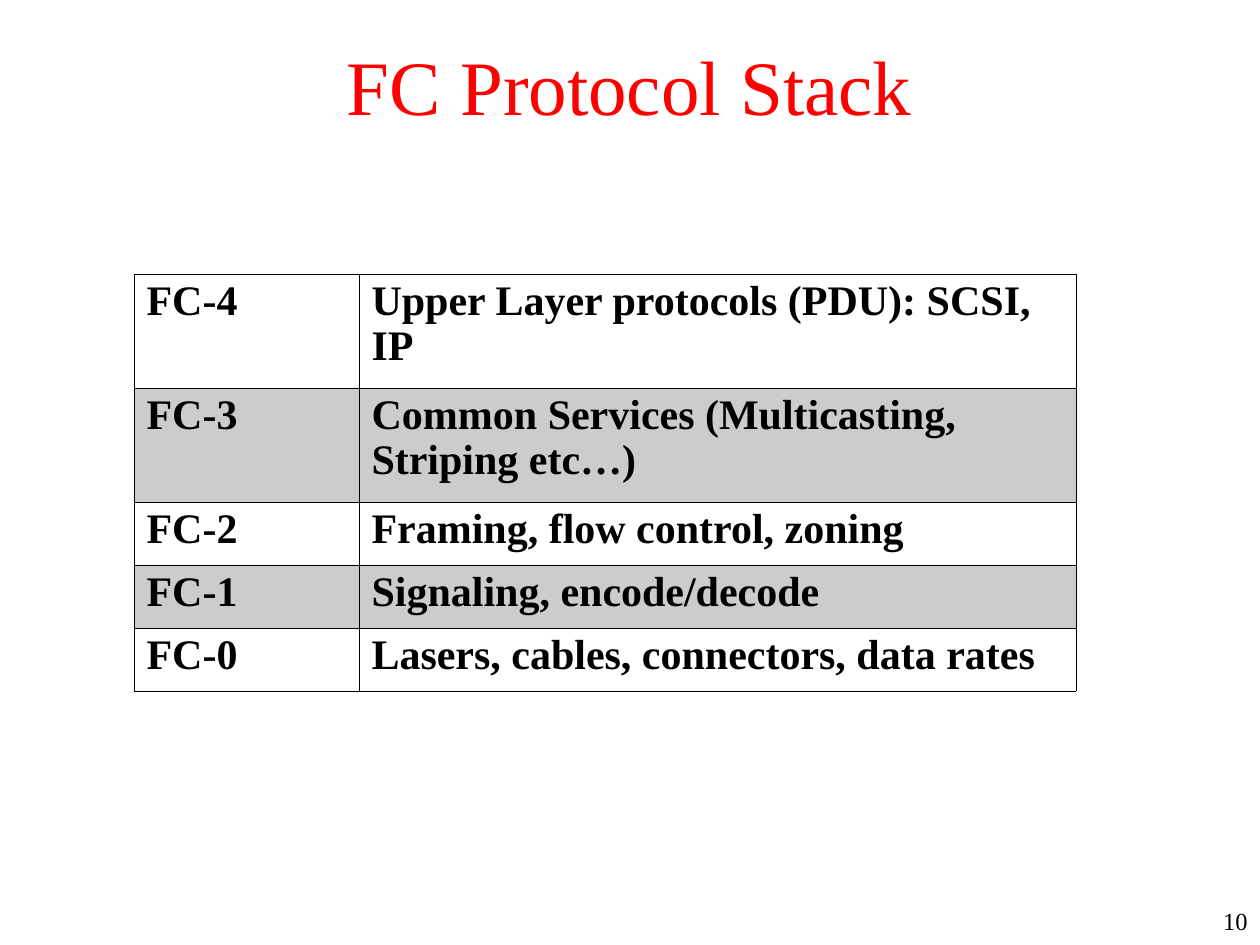
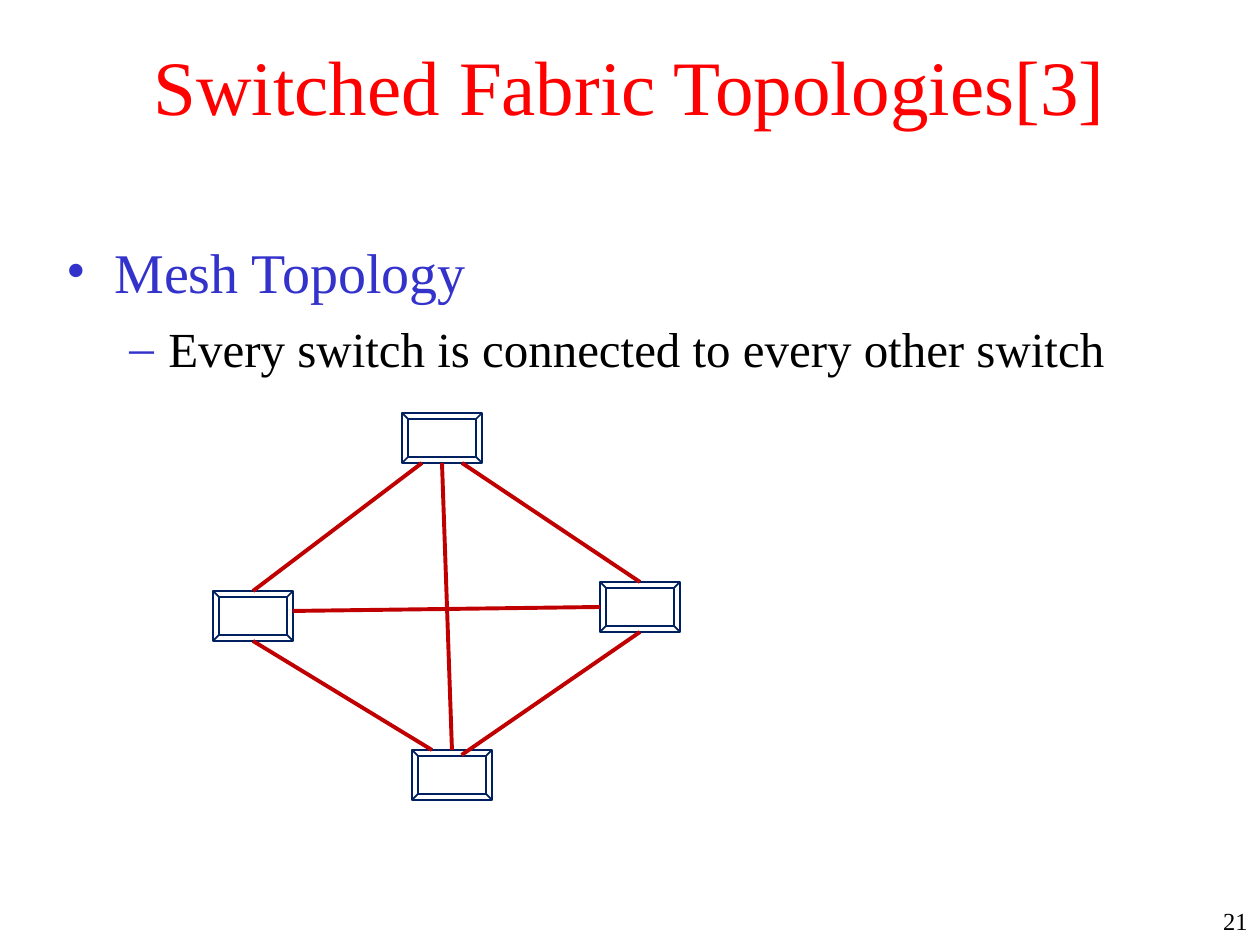
from lxml import etree
from pptx import Presentation
from pptx.dml.color import RGBColor
from pptx.enum import shapes, text
from pptx.oxml import ns
from pptx import util as u

PX_PER_INCH = 126
FONT = "Times New Roman"
BLACK = RGBColor(0x00, 0x00, 0x00)
TITLE_RED = RGBColor(0xFF, 0x00, 0x00)
BULLET_BLUE = RGBColor(0x33, 0x33, 0xCC)
SWITCH_NAVY = RGBColor(0x00, 0x20, 0x60)
LINK_RED = RGBColor(0xC0, 0x00, 0x00)

TITLE_BOX = (94, 0, 1071, 158)
NUMBER_BOX = (1193, 900, 67, 45)

LAYERS = [  # name, role, row height
    ("FC-4", "Upper Layer protocols (PDU): SCSI, IP", 114),
    ("FC-3", "Common Services (Multicasting, Striping etc…)", 114),
    ("FC-2", "Framing, flow control, zoning", 63),
    ("FC-1", "Signaling, encode/decode", 63),
    ("FC-0", "Lasers, cables, connectors, data rates", 63),
]

BULLETS = [  # text, mark, size, colour, left margin, hanging indent
    ("Mesh Topology", "•", 32, BULLET_BLUE, 48, 48),
    ("Every switch is connected to every other switch", "–", 28, BLACK, 102, 39),
]

SWITCH_SIZE = (80, 50)
SWITCHES = {"top": (189, 0), "right": (387, 169), "left": (0, 178), "bottom": (199, 337)}
LINKS = [  # switch and fraction of its width and height, at each end
    ("top", 0.75, 1, "right", 0.5, 0),
    ("left", 0.5, 1, "bottom", 0.25, 0),
    ("right", 0.5, 1, "bottom", 0.62, 0.1),
    ("top", 0.25, 1, "left", 0.5, 0),
    ("top", 0.5, 1, "bottom", 0.5, 0),
    ("left", 1, 0.4, "right", 0, 0.5),
]


def px(length):
    return u.Emu(round(length * u.Inches(1) / PX_PER_INCH))


def set_font(paragraph, size, color, bold=False):
    font = paragraph.font
    font.name, font.size, font.bold = FONT, u.Pt(size), bold
    font.color.rgb = color


def add_element(parent, tag, **attributes):
    return etree.SubElement(parent, ns.qn(tag), attributes)


def add_text_box(slide, box):
    frame = slide.shapes.add_textbox(*map(px, box)).text_frame
    frame.word_wrap = True
    return frame


def add_base_slide(presentation, title, number):
    slide = presentation.slides.add_slide(presentation.slide_layouts[5])
    # Title
    shape = slide.shapes.title
    shape.left, shape.top, shape.width, shape.height = map(px, TITLE_BOX)
    frame = shape.text_frame
    frame.text = title
    frame.vertical_anchor = text.MSO_ANCHOR.MIDDLE
    frame.margin_top = px(18)
    paragraph = frame.paragraphs[0]
    paragraph.alignment = text.PP_ALIGN.CENTER
    set_font(paragraph, 44, TITLE_RED)
    # Slide number
    paragraph = add_text_box(slide, NUMBER_BOX).paragraphs[0]
    paragraph.text = str(number)
    paragraph.alignment = text.PP_ALIGN.RIGHT
    set_font(paragraph, 14, BLACK)
    return slide


def style_cell(cell, shaded):
    properties = cell._tc.get_or_add_tcPr()
    for side in ("a:lnL", "a:lnR", "a:lnT", "a:lnB"):
        border = add_element(properties, side, w=str(u.Pt(0.45)))
        add_element(add_element(border, "a:solidFill"), "a:srgbClr", val=str(BLACK))
    if shaded:
        cell.fill.solid()
        cell.fill.fore_color.rgb = BLACK
        color = properties.find(ns.qn("a:solidFill")).find(ns.qn("a:srgbClr"))
        add_element(color, "a:alpha", val="20000")
    else:
        cell.fill.background()


def add_layer_table(slide, left, top, column_widths):
    height = sum(layer[-1] for layer in LAYERS)
    frame = slide.shapes.add_table(len(LAYERS), len(column_widths), px(left), px(top),
                                   px(sum(column_widths)), px(height))
    table = frame.table
    table.first_row = table.horz_banding = False
    for column, width in zip(table.columns, column_widths):
        column.width = px(width)
    for index, (row, (*labels, row_height)) in enumerate(zip(table.rows, LAYERS)):
        row.height = px(row_height)
        for cell, label in zip(row.cells, labels):
            cell.text = label
            paragraph = cell.text_frame.paragraphs[0]
            paragraph.line_spacing = 0.96
            set_font(paragraph, 24, BLACK, bold=True)
            style_cell(cell, shaded=index % 2 == 1)


def add_bullets(slide, box):
    frame = add_text_box(slide, box)
    frame.margin_top = px(13)
    for level, (label, mark, size, color, margin, hanging) in enumerate(BULLETS):
        paragraph = frame.add_paragraph() if level else frame.paragraphs[0]
        paragraph.text = label
        paragraph.level = level
        if level:
            paragraph.space_before = u.Pt(8)
        properties = paragraph._p.get_or_add_pPr()
        properties.set("marL", str(px(margin)))
        properties.set("indent", str(-px(hanging)))
        add_element(add_element(properties, "a:buClr"), "a:srgbClr", val=str(BULLET_BLUE))
        add_element(properties, "a:buFont", typeface=FONT)
        add_element(properties, "a:buChar", char=mark)
        set_font(paragraph, size, color)


def add_mesh(slide, left, top):
    width, height = SWITCH_SIZE

    def point(name, across, down):
        x, y = SWITCHES[name]
        return px(left + x + across * width), px(top + y + down * height)

    # Switches
    for name in SWITCHES:
        switch = slide.shapes.add_shape(shapes.MSO_SHAPE.BEVEL, *point(name, 0, 0),
                                        px(width), px(height))
        switch.adjustments[0] = 0.125
        switch.shadow.inherit = False
        switch.fill.background()
        switch.line.color.rgb = SWITCH_NAVY
        switch.line.width = u.Pt(1)
    # Links
    for link in LINKS:
        line = slide.shapes.add_connector(shapes.MSO_CONNECTOR.STRAIGHT,
                                          *point(*link[:3]), *point(*link[3:]))
        line.line.color.rgb = LINK_RED
        line.line.width = u.Pt(2.25)
        add_element(line._element.spPr, "a:effectLst")


def main():
    presentation = Presentation()
    presentation.slide_width, presentation.slide_height = px(1260), px(945)

    slide = add_base_slide(presentation, "FC Protocol Stack", 10)
    add_layer_table(slide, 134, 274, (225, 717))

    slide = add_base_slide(presentation, "Switched Fabric Topologies[3]", 21)
    add_bullets(slide, (54, 224, 1134, 624))
    add_mesh(slide, 213, 413)

    presentation.save("out.pptx")


if __name__ == "__main__":
    main()
